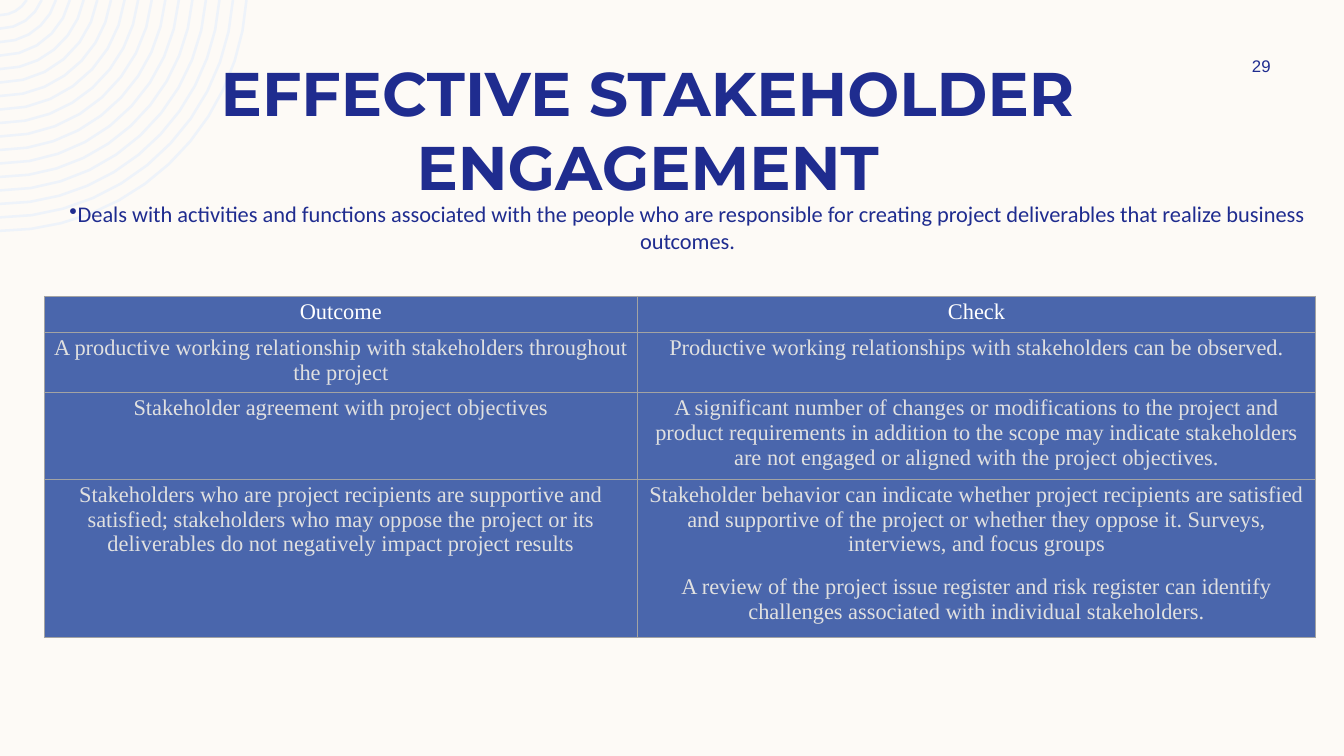
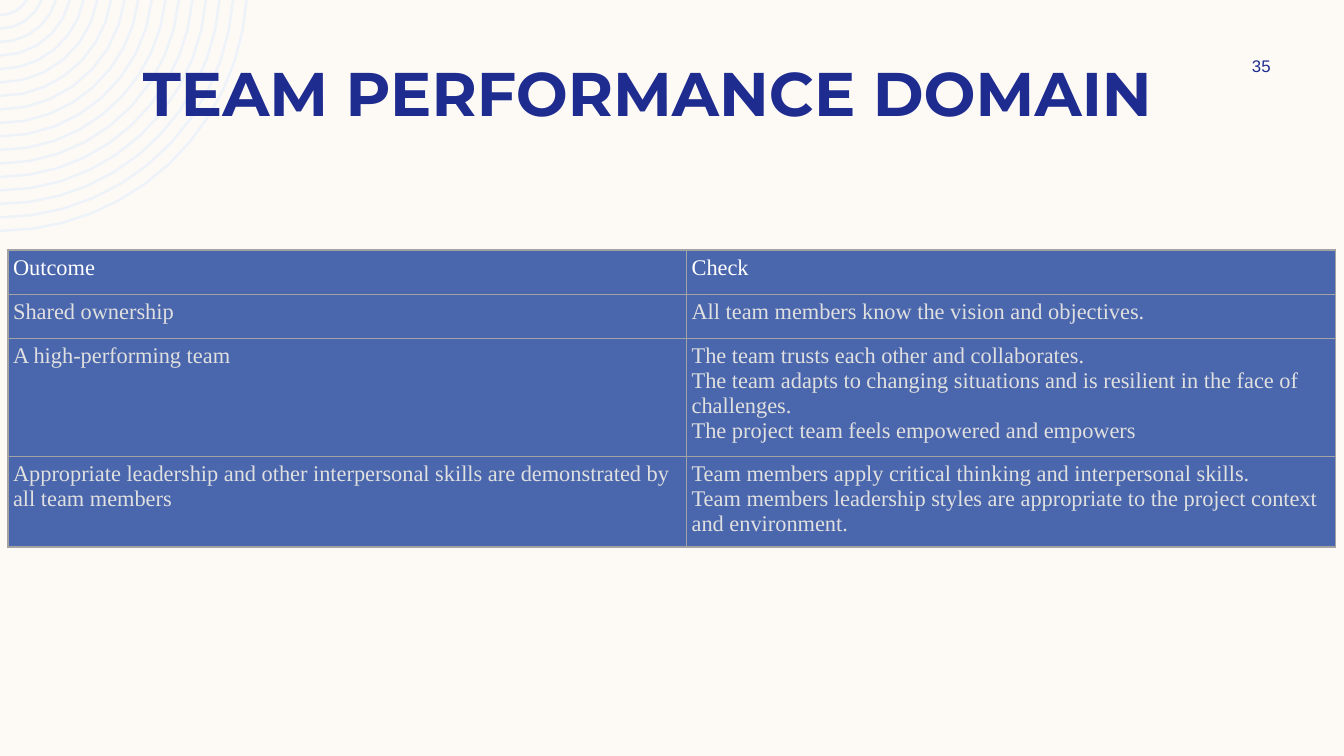
"""Build two slides on stakeholder engagement and the team performance domain."""
import math

from lxml import etree
from pptx import Presentation
from pptx.dml.color import RGBColor
from pptx.enum.text import MSO_ANCHOR, PP_ALIGN
from pptx.oxml import parse_xml
from pptx.oxml.ns import nsdecls, qn
from pptx.util import Inches, Pt

CREAM = RGBColor(0xFD, 0xFA, 0xF6)
PALE_BLUE = RGBColor(0xEE, 0xF3, 0xFA)
NAVY = RGBColor(0x1F, 0x2C, 0x8F)
TABLE_BLUE = RGBColor(0x4A, 0x66, 0xAC)
WHITE = RGBColor(0xFF, 0xFF, 0xFF)
LIGHT_GREY = RGBColor(0xE0, 0xE0, 0xE0)
BORDER_GREY = RGBColor(0xA3, 0xA3, 0xA3)
LEFT, CENTER = PP_ALIGN.LEFT, PP_ALIGN.CENTER
TOP, MIDDLE = MSO_ANCHOR.TOP, MSO_ANCHOR.MIDDLE

RING_COUNT = 17
RING_CENTER_Y = -0.16
RADIUS_MIN, RADIUS_MAX = 0.31, 2.45

SLIDES = [
    {
        "title": "EFFECTIVE STAKEHOLDER ENGAGEMENT",
        "number": "29",
        "summary": "Deals with activities and functions associated with the people who are "
                   "responsible for creating project deliverables that realize business outcomes.",
        "origin": (0.44, 2.94),
        "columns": (5.88, 6.73),
        "heights": (0.36, 0.36, 0.59, 0.95),
        "inset": 0.03,
        "align": CENTER,
        "gap": 13,
        "rows": [
            (["Outcome"], ["Check"]),
            (["A productive working relationship with stakeholders throughout the project"],
             ["Productive working relationships with stakeholders can be observed."]),
            (["Stakeholder agreement with project objectives"],
             ["A significant number of changes or modifications to the project and product "
              "requirements in addition to the scope may indicate stakeholders are not engaged "
              "or aligned with the project objectives."]),
            (["Stakeholders who are project recipients are supportive and satisfied; stakeholders "
              "who may oppose the project or its deliverables do not negatively impact project "
              "results"],
             ["Stakeholder behavior can indicate whether project recipients are satisfied and "
              "supportive of the project or whether they oppose it. Surveys, interviews, and "
              "focus groups",
              "A review of the project issue register and risk register can identify challenges "
              "associated with individual stakeholders."]),
        ],
    },
    {
        "title": "TEAM PERFORMANCE DOMAIN",
        "number": "35",
        "summary": None,
        "origin": (0.08, 2.48),
        "columns": (6.73, 6.44),
        "heights": (0.44, 0.44, 1.09, 0.84),
        "inset": 0.05,
        "align": LEFT,
        "gap": 0,
        "rows": [
            (["Outcome"], ["Check"]),
            (["Shared ownership"], ["All team members know the vision and objectives."]),
            (["A high-performing team"],
             ["The team trusts each other and collaborates.",
              "The team adapts to changing situations and is resilient in the face of challenges.",
              "The project team feels empowered and empowers"]),
            (["Appropriate leadership and other interpersonal skills are demonstrated by all "
              "team members"],
             ["Team members apply critical thinking and interpersonal skills.",
              "Team members leadership styles are appropriate to the project context and "
              "environment."]),
        ],
    },
]


def write_text(frame, paragraphs, *, font, size, color, bold=False, align=CENTER, gap=0,
               bullet=None):
    for index, text in enumerate(paragraphs):
        paragraph = frame.add_paragraph() if index else frame.paragraphs[0]
        if bullet:
            properties = paragraph._p.get_or_add_pPr()
            properties.set("marL", "0")
            properties.set("indent", str(-Inches(0.31)))
            etree.SubElement(properties, qn("a:buChar")).set("char", bullet)
        paragraph.text = text
        paragraph.alignment = align
        if index < len(paragraphs) - 1:
            paragraph.space_after = Pt(gap)
        paragraph.font.name = font
        paragraph.font.size = Pt(size)
        paragraph.font.bold = bold
        paragraph.font.color.rgb = color


def add_label(slide, box, text, anchor=TOP, **text_format):
    frame = slide.shapes.add_textbox(*map(Inches, box)).text_frame
    frame.word_wrap = True
    frame.vertical_anchor = anchor
    write_text(frame, [text], **text_format)


ring_arcs = []
for ring in range(RING_COUNT):
    radius = RADIUS_MIN + (RADIUS_MAX - RADIUS_MIN) * ring / (RING_COUNT - 1)
    start = math.asin(-RING_CENTER_Y / radius)
    steps = 4 + ring // 2
    angles = [start + (math.pi / 2 - start) * step / steps for step in range(steps + 1)]
    ring_arcs.append([(Inches(radius * math.cos(angle)),
                       Inches(RING_CENTER_Y + radius * math.sin(angle))) for angle in angles])

prs = Presentation()
prs.slide_width, prs.slide_height = Inches(13.33), Inches(7.5)
master_fill = prs.slide_master.background.fill
master_fill.solid()
master_fill.fore_color.rgb = CREAM

for content in SLIDES:
    slide = prs.slides.add_slide(prs.slide_layouts[6])

    ring_builder = slide.shapes.build_freeform(*ring_arcs[0][0])
    for arc in ring_arcs:
        ring_builder.move_to(*arc[0])
        ring_builder.add_line_segments(arc[1:], close=False)
    rings = ring_builder.convert_to_shape()
    rings.shadow.inherit = False
    rings.fill.background()
    rings.line.color.rgb = PALE_BLUE
    rings.line.width = Pt(1.8)

    add_label(slide, (0.59, 0.5, 11.67, 0.84), content["title"],
              font="Montserrat", size=44, color=NAVY, bold=True)
    add_label(slide, (11.97, 0.5, 1.08, 0.3), content["number"], anchor=MIDDLE,
              font="Arial", size=12, color=NAVY)

    columns, heights, inset = content["columns"], content["heights"], Inches(content["inset"])
    table = slide.shapes.add_table(
        len(heights), len(columns), *map(Inches, content["origin"]),
        Inches(sum(columns)), Inches(sum(heights))).table
    table.horz_banding = False
    for column, width in zip(table.columns, columns):
        column.width = Inches(width)
    for row_index, cell_texts in enumerate(content["rows"]):
        table.rows[row_index].height = Inches(heights[row_index])
        for column_index, paragraphs in enumerate(cell_texts):
            cell = table.cell(row_index, column_index)
            cell.margin_left = cell.margin_right = inset
            cell.margin_top = cell.margin_bottom = inset
            for side in ("lnL", "lnR", "lnT", "lnB"):
                cell._tc.get_or_add_tcPr().append(parse_xml(
                    f'<a:{side} {nsdecls("a")} w="{Pt(1)}"><a:solidFill>'
                    f'<a:srgbClr val="{BORDER_GREY}"/></a:solidFill></a:{side}>'))
            cell.fill.solid()
            cell.fill.fore_color.rgb = TABLE_BLUE
            write_text(cell.text_frame, paragraphs, font="Times New Roman", size=16,
                       color=LIGHT_GREY if row_index else WHITE,
                       align=content["align"], gap=content["gap"])

    if content["summary"]:
        add_label(slide, (0.59, 1.94, 12.46, 0.64), content["summary"],
                  font="Calibri", size=16, color=NAVY, bullet="•")

prs.save("out.pptx")
